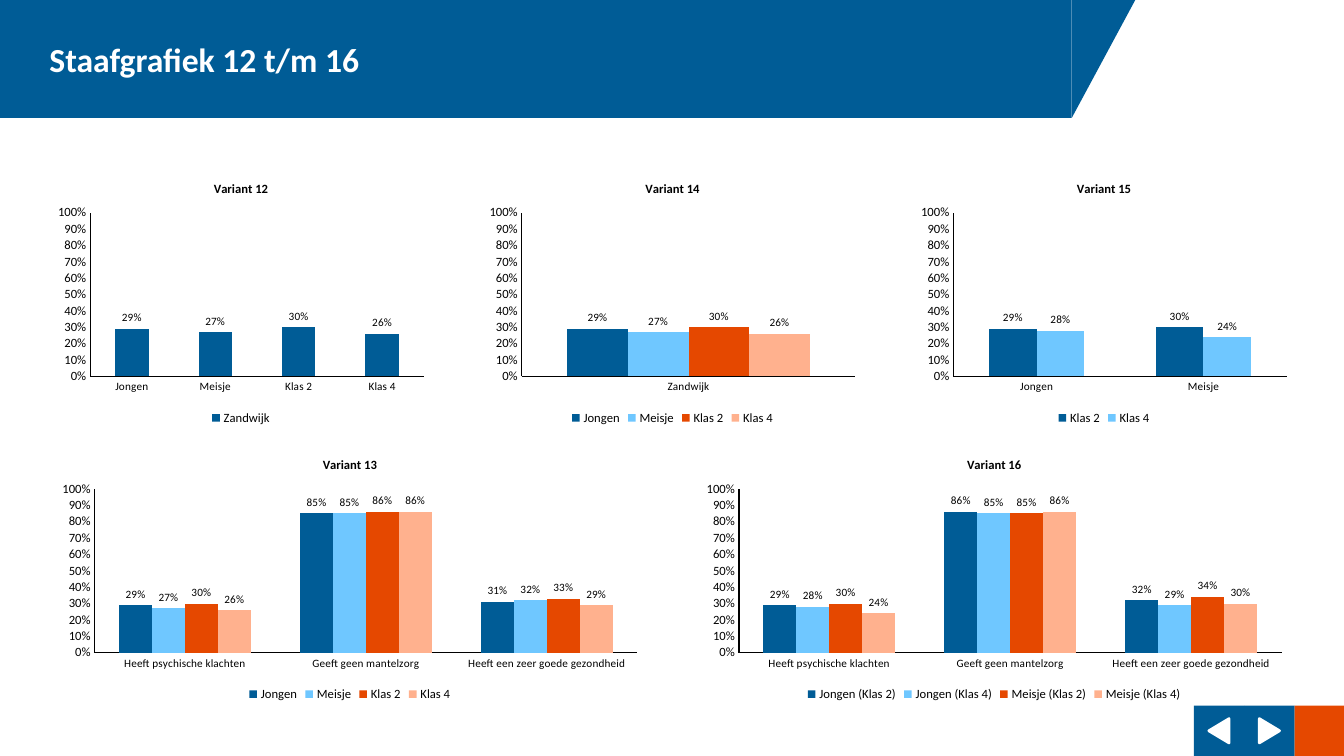
from pptx import Presentation
from pptx.chart.data import CategoryChartData
from pptx.dml.color import RGBColor
from pptx.enum import chart as ch, shapes, text
from pptx.util import Inches, Pt

BLUE = RGBColor(0x00, 0x5C, 0x96)
SKY = RGBColor(0x6F, 0xC7, 0xFF)
ORANGE = RGBColor(0xE5, 0x48, 0x00)
PEACH = RGBColor(0xFF, 0xB1, 0x8E)
WHITE = RGBColor(0xFF, 0xFF, 0xFF)
BLACK = RGBColor(0, 0, 0)
SERIES_COLORS = [BLUE, SKY, ORANGE, PEACH]
FONT = "Calibri"

STATEMENTS = ["Heeft psychische klachten", "Geeft geen mantelzorg",
              "Heeft een zeer goede gezondheid"]
TOP_ROW = [
    ("Variant 12", ["Jongen", "Meisje", "Klas 2", "Klas 4"],
     {"Zandwijk": [0.29, 0.27, 0.30, 0.26]}),
    ("Variant 14", ["Zandwijk"],
     {"Jongen": [0.29], "Meisje": [0.27], "Klas 2": [0.30], "Klas 4": [0.26]}),
    ("Variant 15", ["Jongen", "Meisje"],
     {"Klas 2": [0.29, 0.30], "Klas 4": [0.28, 0.24]}),
]
BOTTOM_ROW = [
    ("Variant 13", STATEMENTS,
     {"Jongen": [0.29, 0.85, 0.31], "Meisje": [0.27, 0.85, 0.32],
      "Klas 2": [0.30, 0.86, 0.33], "Klas 4": [0.26, 0.86, 0.29]}),
    ("Variant 16", STATEMENTS,
     {"Jongen (Klas 2)": [0.29, 0.86, 0.32], "Jongen (Klas 4)": [0.28, 0.85, 0.29],
      "Meisje (Klas 2)": [0.30, 0.85, 0.34], "Meisje (Klas 4)": [0.24, 0.86, 0.30]}),
]


def style_font(font, size, color=BLACK, bold=False):
    font.name = FONT
    font.size = Pt(size)
    font.bold = bold
    font.color.rgb = color


def add_block(s, kind, x, y, w, h, color, rotation=0):
    sp = s.shapes.add_shape(kind, Inches(x), Inches(y), Inches(w), Inches(h))
    sp.shadow.inherit = False
    sp.fill.solid()
    sp.fill.fore_color.rgb = color
    sp.line.fill.background()
    sp.rotation = rotation
    return sp


def add_header(s, x, y, w, h, slant):
    add_block(s, shapes.MSO_SHAPE.RIGHT_TRIANGLE,
              x + w + (slant - h) / 2, y + (h - slant) / 2, h, slant, BLUE, 90)
    title = s.shapes.title
    title.left, title.top, title.width, title.height = map(Inches, (x, y, w, h))
    title.fill.solid()
    title.fill.fore_color.rgb = BLUE
    tf = title.text_frame
    tf.text = "Staafgrafiek 12 t/m 16"
    tf.auto_size = text.MSO_AUTO_SIZE.NONE
    tf.vertical_anchor = text.MSO_ANCHOR.MIDDLE
    tf.margin_left = Inches(0.49)
    p = tf.paragraphs[0]
    p.alignment = text.PP_ALIGN.LEFT
    style_font(p.font, 24, WHITE, True)


def add_navigation(s, x, y, size):
    for i, (color, rotation) in enumerate([(BLUE, 270), (BLUE, 90), (ORANGE, None)]):
        left = x + i * size
        add_block(s, shapes.MSO_SHAPE.RECTANGLE, left, y, size, size, color)
        if rotation is not None:
            arrow = add_block(s, shapes.MSO_SHAPE.ISOSCELES_TRIANGLE,
                              left + 0.13, y + 0.15, 0.24, 0.2, WHITE, rotation)
            arrow.line.color.rgb = WHITE
            arrow.line.width = Pt(2)


def style_axis(axis, size):
    axis.has_major_gridlines = False
    axis.major_tick_mark = ch.XL_TICK_MARK.NONE
    axis.minor_tick_mark = ch.XL_TICK_MARK.NONE
    axis.format.line.color.rgb = BLACK
    axis.format.line.width = Pt(1)
    style_font(axis.tick_labels.font, size)


def add_bar_chart(s, x, y, w, h, title, categories, series):
    data = CategoryChartData(number_format="0%")
    data.categories = categories
    for name, values in series.items():
        data.add_series(name, values)
    chart = s.shapes.add_chart(ch.XL_CHART_TYPE.COLUMN_CLUSTERED, Inches(x), Inches(y),
                               Inches(w), Inches(h), data).chart
    style_font(chart.font, 18)

    chart.has_title = True
    chart.chart_title.include_in_layout = False
    tf = chart.chart_title.text_frame
    tf.text = title
    style_font(tf.paragraphs[0].font, 9, bold=True)

    chart.has_legend = True
    chart.legend.position = ch.XL_LEGEND_POSITION.BOTTOM
    chart.legend.include_in_layout = False
    style_font(chart.legend.font, 9)

    style_axis(chart.category_axis, 8)
    value_axis = chart.value_axis
    style_axis(value_axis, 9)
    value_axis.minimum_scale = 0
    value_axis.maximum_scale = 1
    value_axis.major_unit = 0.1
    value_axis.tick_labels.number_format = "0%"
    value_axis.tick_labels.number_format_is_linked = False

    plot = chart.plots[0]
    plot.gap_width = 150
    plot.overlap = 0
    plot.vary_by_categories = False
    for bars, color in zip(plot.series, SERIES_COLORS):
        bars.format.fill.solid()
        bars.format.fill.fore_color.rgb = color
        labels = bars.data_labels
        labels.show_value = True
        labels.position = ch.XL_LABEL_POSITION.OUTSIDE_END
        labels.number_format = "0%"
        labels.number_format_is_linked = False
        style_font(labels.font, 8)


def add_chart_row(s, x, y, w, h, gap, charts):
    chart_w = (w - gap * (len(charts) - 1)) / len(charts)
    for i, (title, categories, series) in enumerate(charts):
        add_bar_chart(s, x + i * (chart_w + gap), y, chart_w, h, title, categories, series)


def main():
    prs = Presentation()
    prs.slide_width = Inches(13.33)
    prs.slide_height = Inches(7.5)
    s = prs.slides.add_slide(prs.slide_layouts[5])
    add_header(s, 0, 0, 10.63, 1.17, 0.63)
    add_navigation(s, 11.84, 7, 0.5)
    add_chart_row(s, 0.5, 1.66, 12.34, 2.6, 0.5, TOP_ROW)
    add_chart_row(s, 0.5, 4.4, 12.33, 2.6, 0.45, BOTTOM_ROW)
    prs.save("out.pptx")


if __name__ == "__main__":
    main()
